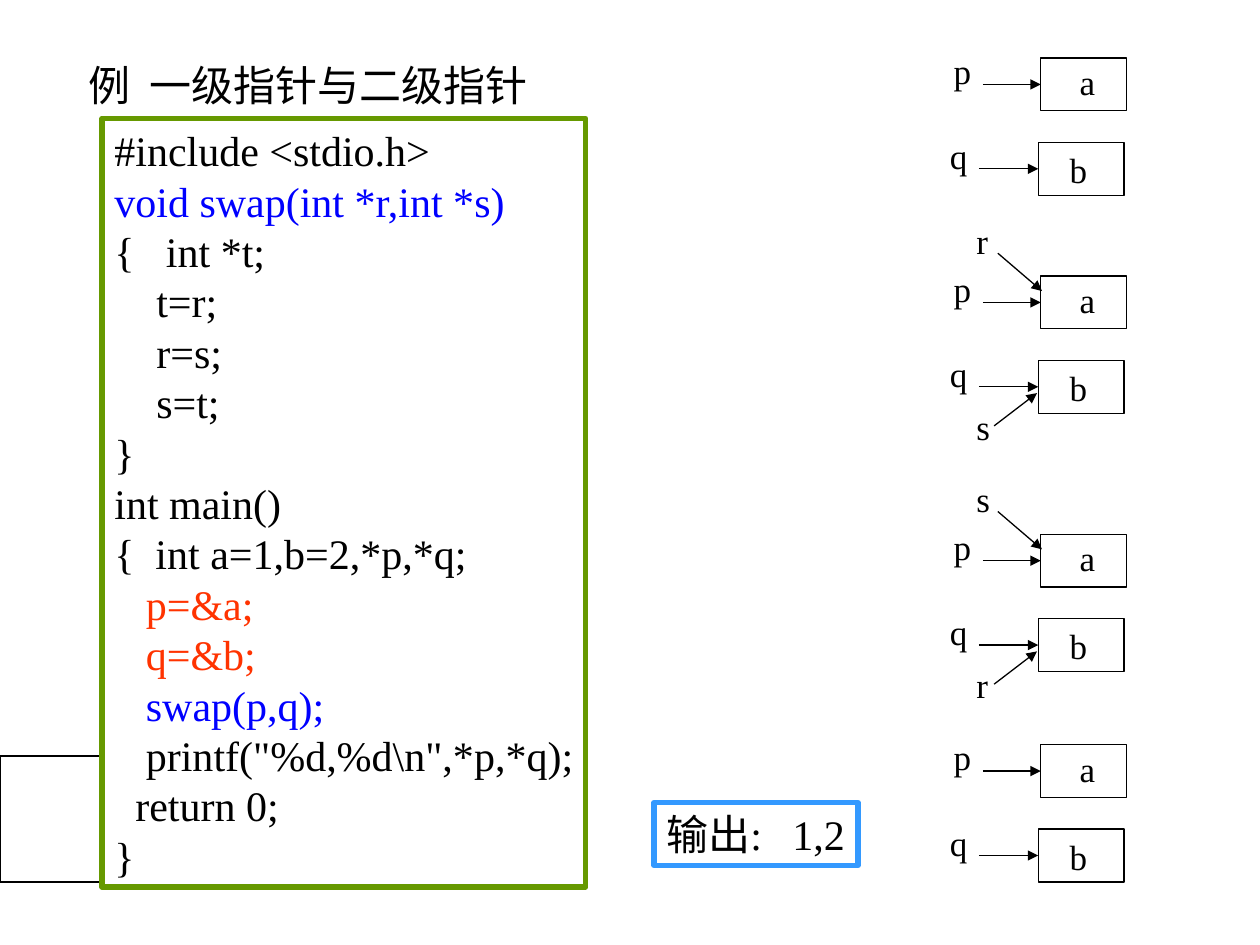
from lxml import etree
from pptx import Presentation
from pptx.dml.color import RGBColor
from pptx.enum import shapes, text
from pptx.oxml.ns import qn
from pptx.util import Inches, Pt

BLACK = RGBColor(0, 0, 0)
WHITE = RGBColor(255, 255, 255)
BLUE = RGBColor(0, 0, 255)
RED = RGBColor(255, 0x33, 0)
GREEN = RGBColor(0x66, 0x99, 0)
SKY = RGBColor(0x33, 0x99, 255)
FONT = "Times New Roman"

CODE = [
    ("#include <stdio.h>", BLACK),
    ("void swap(int *r,int *s)", BLUE),
    ("{   int *t;", BLACK),
    ("    t=r;", BLACK),
    ("    r=s;", BLACK),
    ("    s=t;", BLACK),
    ("}", BLACK),
    ("int main()", BLACK),
    ("{  int a=1,b=2,*p,*q;", BLACK),
    ("   p=&a;", RED),
    ("   q=&b;", RED),
    ("   swap(p,q);", BLUE),
    ('   printf("%d,%d\\n",*p,*q);', BLACK),
    ("  return 0;", BLACK),
    ("}", BLACK),
]
# Top of each state, then the extra pointers to a and to b
STATES = [(0.46, "", ""), (2.19, "r", "s"), (4.24, "s", "r"), (5.91, "", "")]


def place(shape, box):
    for name, size in zip(("left", "top", "width", "height"), box):
        setattr(shape, name, Inches(size))


def style(shape, color, width=0.75, fill=None):
    shape.shadow.inherit = False
    if fill is None:
        shape.fill.background()
    else:
        shape.fill.solid()
        shape.fill.fore_color.rgb = fill
    shape.line.color.rgb = color
    shape.line.width = Pt(width)


def write(shape, lines, size, stop=None, **extra):
    """Fill a shape with (text, colour) lines; stop is a tab stop in inches."""
    frame = shape.text_frame
    form = {"word_wrap": False, "auto_size": text.MSO_AUTO_SIZE.NONE,
            "vertical_anchor": text.MSO_ANCHOR.TOP, **extra}
    for name, value in form.items():
        setattr(frame, name, value)
    for i, (line, color) in enumerate(lines):
        para = frame.add_paragraph() if i else frame.paragraphs[0]
        para.alignment = text.PP_ALIGN.LEFT
        if stop:
            tabs = etree.SubElement(para._p.get_or_add_pPr(), qn("a:tabLst"))
            etree.SubElement(tabs, qn("a:tab"), pos=str(Inches(stop)), algn="l")
        run = para.add_run()
        run.text = line
        for name, value in {"name": FONT, "size": Pt(size)}.items():
            setattr(run.font, name, value)
        run.font.color.rgb = color


def label(group, word, x, y, wide=0.34):
    box = group.shapes.add_textbox(*map(Inches, (x, y, wide, 0.44)))
    write(box, [(word, BLACK)], 20)


def cell(group, x, y):
    rect = group.shapes.add_shape(shapes.MSO_SHAPE.RECTANGLE,
                                  *map(Inches, (x, y, 0.68, 0.42)))
    style(rect, BLACK)
    return rect


def arrow(group, x1, y1, x2, y2, goal=None):
    line = group.shapes.add_connector(shapes.MSO_CONNECTOR.STRAIGHT,
                                      *map(Inches, (x1, y1, x2, y2)))
    if goal is not None:
        line.end_connect(goal, 1)
    line.line.color.rgb = BLACK
    line.line.width = Pt(0.75)
    etree.SubElement(line.line._get_or_add_ln(), qn("a:tailEnd"), type="triangle")
    etree.SubElement(line._element.spPr, qn("a:effectLst"))


def state(slide, x, y, upper, lower):
    """Cells a and b with their pointers; x, y is the corner of the p column."""
    group = slide.shapes.add_group_shape()
    first = cell(group, x + 0.82, y)
    second = cell(group, x + 0.8, y + 0.67)
    label(group, "a", x + 1.03, y - 0.03, 0.32)
    label(group, "b", x + 0.95, y + 0.67)
    arrow(group, x + 0.36, y + 0.21, x + 0.82, y + 0.21, first)
    label(group, "p", x + 0.03, y - 0.12)
    arrow(group, x + 0.33, y + 0.88, x + 0.8, y + 0.88, second)
    label(group, "q", x, y + 0.56)
    if upper:
        arrow(group, x + 0.48, y - 0.18, x + 0.83, y + 0.12)
        label(group, upper, x + 0.21, y - 0.5, 0.31)
    if lower:
        arrow(group, x + 0.45, y + 1.19, x + 0.79, y + 0.93)
        label(group, lower, x + 0.21, y + 0.98, 0.31)


def icon(slide, x, y, w, h):
    """Bevelled button with a folded page."""
    rim = 0.04
    outer = [(0, 0), (w, 0), (w, h), (0, h)]
    inner = [(rim, rim), (w - rim, rim), (w - rim, h - rim), (rim, h - rim)]
    page = [(0.14, 0.16), (0.33, 0.16), (0.44, 0.25), (0.44, 0.53), (0.14, 0.53)]
    fold = [(0.33, 0.16), (0.44, 0.25), (0.33, 0.25)]
    edges = [[outer[i - 1], outer[i], inner[i], inner[i - 1]] for i in range(4)]
    build = slide.shapes.build_freeform(0, 0, scale=Inches(1))
    for path in [outer, *edges, page, fold]:
        points = [(x + dx, y + dy) for dx, dy in path]
        build.move_to(*points[0])
        build.add_line_segments(points[1:], close=True)
    style(build.convert_to_shape(), BLACK, fill=WHITE)


def panel(slide, box, color, fill=None):
    rect = slide.shapes.add_shape(shapes.MSO_SHAPE.RECTANGLE, *map(Inches, box))
    style(rect, color, 3, fill)
    return rect


def main():
    deck = Presentation()
    deck.slide_width, deck.slide_height = Inches(10), Inches(7.5)
    slide = deck.slides.add_slide(deck.slide_layouts[5])
    title = slide.shapes.title
    place(title, (0.6, 0.42, 3.68, 0.5))
    write(title, [("例\t一级指针与二级指针", BLACK)], 24, 0.49,
          word_wrap=True, margin_right=0)
    icon(slide, 0.27, 6.48, 0.58, 0.69)
    code = panel(slide, (0.81, 0.94, 3.84, 6.1), GREEN, WHITE)
    write(code, CODE, 24, vertical_anchor=text.MSO_ANCHOR.MIDDLE)
    for top, upper, lower in STATES:
        state(slide, 7.44, top, upper, lower)
    result = panel(slide, (5.19, 6.37, 1.62, 0.5), SKY)
    write(result, [("输出:\t1,2", BLACK)], 24, 1, word_wrap=True, margin_right=0)
    deck.save("out.pptx")


if __name__ == "__main__":
    main()
